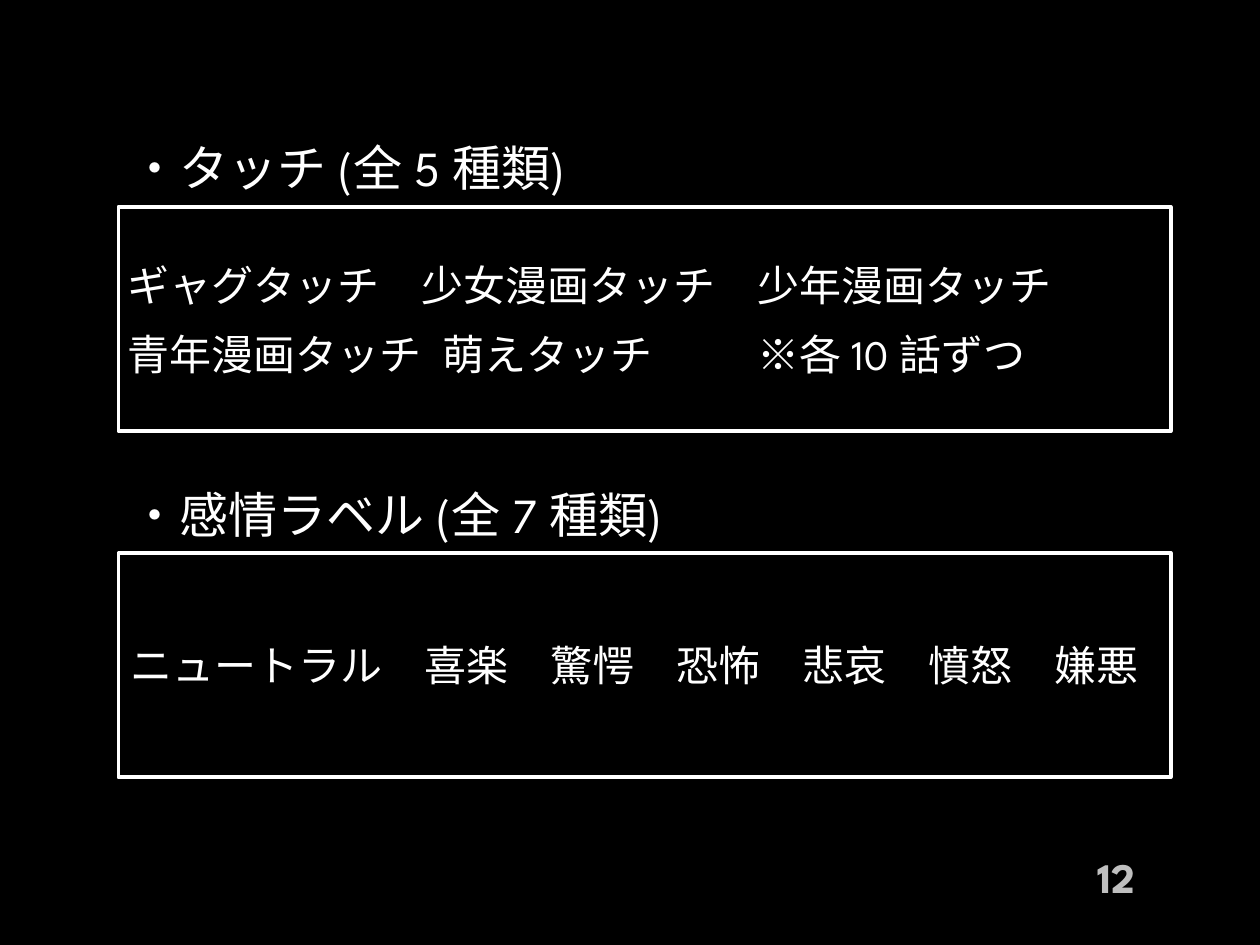
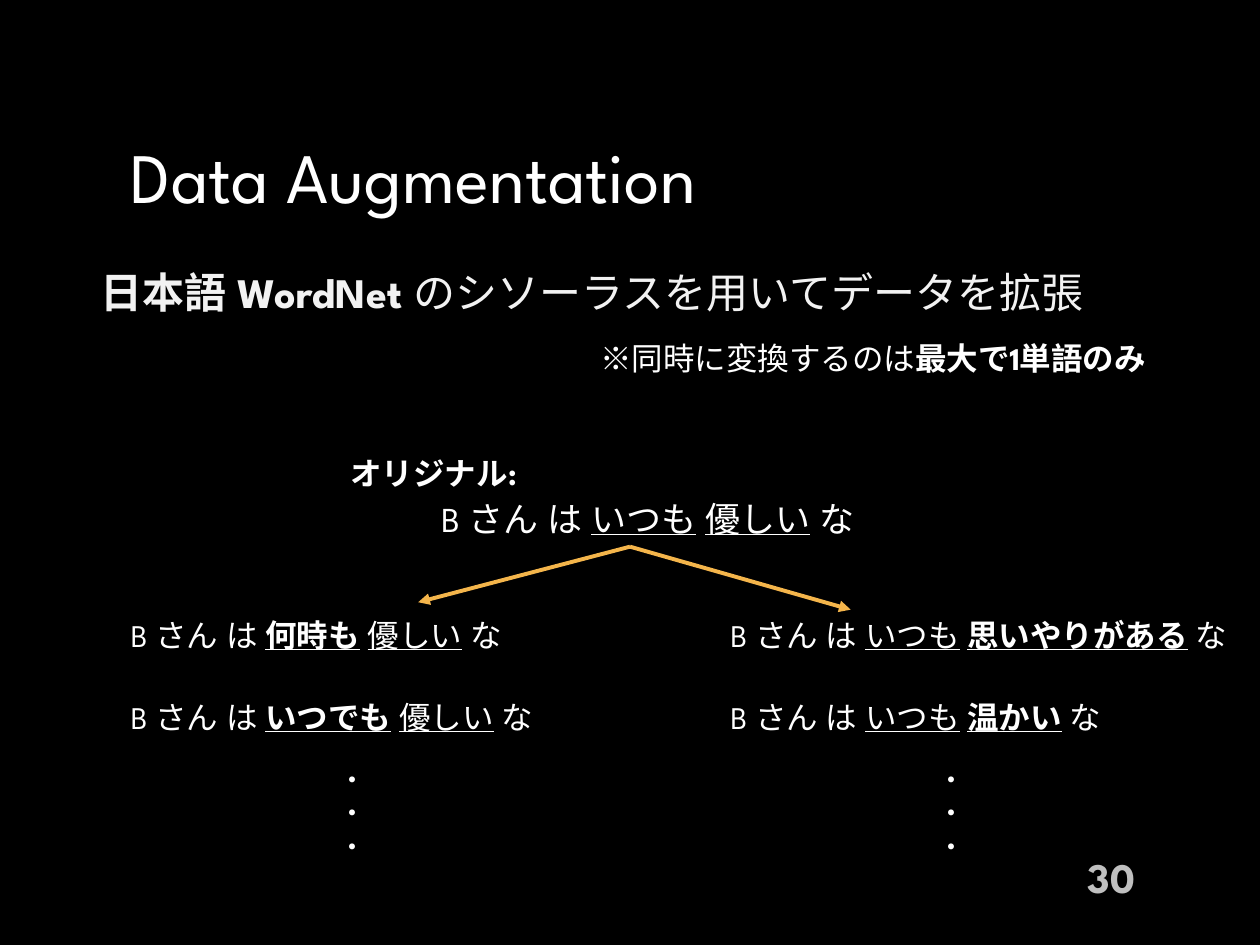
from dataclasses import dataclass
from typing import NamedTuple

from lxml import etree
from pptx import Presentation
from pptx import util as u
from pptx.dml.color import RGBColor
from pptx.enum import shapes, text
from pptx.oxml import ns

Cm, Pt = u.Cm, u.Pt
LEFT, CENTER, RIGHT = text.PP_ALIGN.LEFT, text.PP_ALIGN.CENTER, text.PP_ALIGN.RIGHT
TOP, MIDDLE = text.MSO_ANCHOR.TOP, text.MSO_ANCHOR.MIDDLE


@dataclass(frozen=True)
class Theme:
    font: str = "League Spartan"
    back: str = "000000"
    ink: str = "FFFFFF"
    soft: str = "F2F2F2"
    muted: str = "BFBFBF"
    accent: str = "F4B54B"
    title: float = 40.5
    heading: float = 28
    body: float = 24
    sentence: float = 20
    example: float = 18
    dots: float = 16
    line: float = 2.25


THEME = Theme()


class Area(NamedTuple):
    """A rectangle in centimetres."""
    left: float
    top: float
    width: float
    height: float

    def lengths(self) -> list:
        return [Cm(v) for v in self]


class Span(NamedTuple):
    text: str
    bold: bool = False
    underline: bool = False


@dataclass(frozen=True)
class Style:
    size: float
    color: str = THEME.ink
    align: int = LEFT
    anchor: int = TOP
    before: float = 0
    after: float = 0
    inset: float = 0.25
    tabs: tuple = ()


@dataclass(frozen=True)
class LabelBox:
    heading: str
    lines: list
    top: float
    style: Style


BODY = dict(size=THEME.body, anchor=MIDDLE, before=4.8, after=6)
HEADING = Style(THEME.heading, anchor=MIDDLE)
TITLE = Style(THEME.title, anchor=MIDDLE)
PAGE = Style(THEME.body, THEME.muted, RIGHT, MIDDLE)
LEAD = Style(color=THEME.soft, **BODY)
SENTENCE = Style(THEME.sentence, align=CENTER)
EXAMPLE = Style(THEME.example)
NOTE = Style(THEME.example, align=CENTER)
DOTS = Style(THEME.dots, align=CENTER)

MARGIN = 2.39
TITLE_WIDTH = 20.62
PAGE_AREA = Area(19.84, 17.17, 3.3, 1.02)


def apply(obj, values: dict) -> None:
    for name, value in values.items():
        setattr(obj, name, value)


def add_tabs(p, stops: tuple) -> None:
    tab_list = etree.SubElement(p._p.get_or_add_pPr(), ns.qn("a:tabLst"))
    for stop in stops:
        etree.SubElement(tab_list, ns.qn("a:tab"), pos=str(Cm(stop)), algn="l")


def add_span(p, span: Span, style: Style) -> None:
    r = p.add_run()
    r.text = span.text
    apply(r.font, dict(name=THEME.font, size=Pt(style.size),
                       bold=span.bold, underline=span.underline))
    r.font.color.rgb = RGBColor.from_string(style.color)
    etree.SubElement(r._r.get_or_add_rPr(), ns.qn("a:ea"), typeface=THEME.font)


def write(sp, lines: list, style: Style) -> None:
    """Fill a shape with paragraphs, each a list of spans."""
    tf = sp.text_frame
    apply(tf, dict(word_wrap=True, auto_size=text.MSO_AUTO_SIZE.NONE,
                   vertical_anchor=style.anchor,
                   margin_left=Cm(style.inset), margin_right=Cm(style.inset)))
    for i, spans in enumerate(lines):
        p = tf.add_paragraph() if i else tf.paragraphs[0]
        if style.tabs:
            add_tabs(p, style.tabs)
        apply(p, dict(alignment=style.align, space_after=Pt(style.after),
                      space_before=Pt(style.before if i else 0)))
        for span in spans:
            add_span(p, span, style)


def add_text(s, area: Area, lines: list, style: Style) -> None:
    write(s.shapes.add_textbox(*area.lengths()), lines, style)


def add_slide(prs, title: str, area: Area, style: Style, page: str):
    """Add a slide with its title and page number."""
    s = prs.slides.add_slide(prs.slide_layouts[5])
    sp = s.shapes.title
    apply(sp, dict(zip(("left", "top", "width", "height"), area.lengths())))
    write(sp, [[Span(title)]], style)
    add_text(s, PAGE_AREA, [[Span(page, bold=True)]], PAGE)
    return s


def add_frame(s, area: Area, lines: list, style: Style) -> None:
    sp = s.shapes.add_shape(shapes.MSO_SHAPE.RECTANGLE, *area.lengths())
    sp.shadow.inherit = False
    sp.fill.background()
    sp.line.color.rgb = RGBColor.from_string(THEME.ink)
    sp.line.width = Pt(THEME.line)
    write(sp, lines, style)


def add_arrow(s, start: tuple, end: tuple) -> None:
    c = s.shapes.add_connector(shapes.MSO_CONNECTOR.STRAIGHT,
                               *(Cm(v) for v in start + end))
    c.line.color.rgb = RGBColor.from_string(THEME.accent)
    c.line.width = Pt(THEME.line)
    etree.SubElement(c.line._get_or_add_ln(), ns.qn("a:tailEnd"), type="triangle")
    etree.SubElement(c._element.spPr, ns.qn("a:effectLst"))


def heading_area(box: LabelBox) -> Area:
    return Area(MARGIN, box.top - 1.58, TITLE_WIDTH, 1.57)


def example(first: Span, second: Span) -> list:
    return [[Span("B さん は "), first, Span(" "), second, Span(" な")]]


def build_labels(prs) -> None:
    touches = LabelBox(
        "・タッチ (全 5 種類)",
        [[Span("ギャグタッチ　少女漫画タッチ　少年漫画タッチ")],
         [Span("青年漫画タッチ\t萌えタッチ\t※各 10 話ずつ")]],
        4.17, Style(inset=0.18, tabs=(6.35, 12.7), **BODY))
    emotions = LabelBox(
        "・感情ラベル (全 7 種類)",
        [[Span("ニュートラル　喜楽　驚愕　恐怖　悲哀　憤怒　嫌悪")]],
        11.15, Style(**BODY))
    s = add_slide(prs, emotions.heading, heading_area(emotions), HEADING, "12")
    add_text(s, heading_area(touches), [[Span(touches.heading)]], HEADING)
    for box in (touches, emotions):
        add_frame(s, Area(MARGIN, box.top, 21.21, 4.52), box.lines, box.style)


def build_augmentation(prs) -> None:
    s = add_slide(prs, "Data Augmentation",
                  Area(MARGIN, 2.39, TITLE_WIDTH, 2.29), TITLE, "30")
    add_text(s, Area(1.78, 5.05, 21.23, 1.68),
             [[Span("日本語 WordNet ", bold=True),
               Span("のシソーラスを用いてデータを拡張")]], LEAD)
    add_text(s, Area(11.58, 6.71, 12.04, 1.02),
             [[Span("※同時に変換するのは"), Span("最大で1単語のみ", bold=True)]], NOTE)
    add_text(s, Area(3.28, 9.02, 10.92, 1.02),
             [[Span("オリジナル:", bold=True)]], NOTE)

    always = Span("いつも", underline=True)
    kind = Span("優しい", underline=True)
    add_text(s, Area(8.35, 9.91, 9.42, 1.12), example(always, kind), SENTENCE)

    columns = {
        MARGIN: [(Span(word, True, True), kind) for word in ("何時も", "いつでも")],
        14.48: [(always, Span(word, True, True)) for word in ("思いやりがある", "温かい")],
    }
    for left, pairs in columns.items():
        for row, pair in enumerate(pairs):
            add_text(s, Area(left, 12.29 + 1.66 * row, 10.92, 1.02),
                     example(*pair), EXAMPLE)
        add_text(s, Area(left, 15.24, 9.42, 2.97), [[Span("・")]] * 3, DOTS)
    for tip in ((8.43, 12.14), (17.15, 12.29)):
        add_arrow(s, (12.7, 11.02), tip)


def main() -> None:
    prs = Presentation()
    prs.slide_width, prs.slide_height = Cm(25.4), Cm(19.05)
    fill = prs.slide_master.background.fill
    fill.solid()
    fill.fore_color.rgb = RGBColor.from_string(THEME.back)
    build_labels(prs)
    build_augmentation(prs)
    prs.save("out.pptx")


if __name__ == "__main__":
    main()
